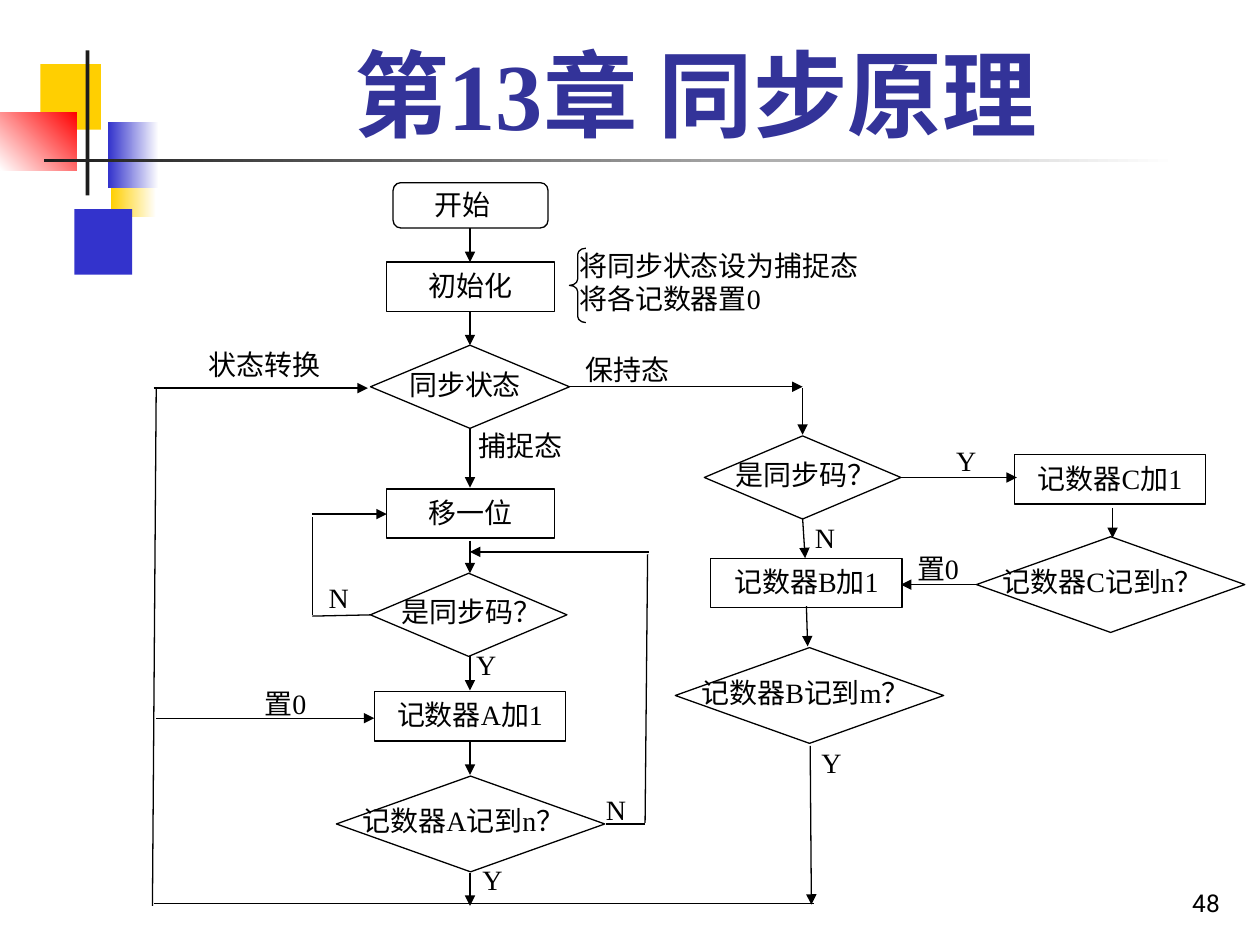
from lxml.etree import SubElement
from pptx import Presentation
from pptx.dml.color import RGBColor
from pptx.enum.shapes import MSO_CONNECTOR, MSO_SHAPE
from pptx.enum.text import MSO_ANCHOR as Anchor, MSO_AUTO_SIZE, PP_ALIGN as Align
from pptx.oxml.ns import qn
from pptx.util import Inches, Pt

COLORS = {
    "black": "000000", "white": "FFFFFF", "title": "333399", "blue": "3333CC",
    "yellow": "FFCF01", "red": "FF0000", "charcoal": "1C1C1C",
}
SERIF = "Times New Roman"

# left, top, width, height, gradient start, end, clockwise angle
DECORATIONS = [
    (0.88, 1.2, 0.36, 0.52, "white", "yellow", 180),
    (0.59, 1.66, 0.46, 0.52, "blue", None, 0),
    (0.32, 0.51, 0.48, 0.52, "yellow", None, 0),
    (0.86, 0.97, 0.4, 0.52, "white", "blue", 180),
    (0, 0.89, 0.61, 0.46, "red", "white", 135),
    (0.68, 0.4, 0.03, 1.15, "charcoal", None, 0),
    (0.35, 1.26, 9, 0.03, "white", "charcoal", 180),
]
# text, left, top, width
PROCESSES = [
    ("初始化", 3.07, 2.08, 1.33),
    ("移一位", 3.07, 3.88, 1.33),
    ("记数器A加1", 2.97, 5.49, 1.52),
    ("记数器B加1", 5.64, 4.43, 1.52),
    ("记数器C加1", 8.05, 3.61, 1.52),
]
# width, height, label offset x, label offset y, label width
STATE = (1.58, 0.66, 0.21, 0.13, 1.25)
CODE = (1.56, 0.66, 0.15, 0.12, 1.43)
COUNT = (2.13, 0.76, 0.11, 0.17, 2.14)
DECISIONS = [
    ("同步状态", 2.94, 2.74, STATE),
    ("是同步码？", 2.94, 4.55, CODE),
    ("是同步码？", 5.59, 3.46, CODE),
    ("记数器A记到n？", 2.67, 6.16, COUNT),
    ("记数器B记到m？", 5.36, 5.14, COUNT),
    ("记数器C记到n？", 7.75, 4.26, COUNT),
]
# start x, start y, end x, end y
MAIN_X = 3.73
ARROWS = [
    *[(MAIN_X, start, MAIN_X, end) for start, end in [
        (1.81, 2.08), (2.48, 2.74), (3.4, 3.87), (4.29, 4.55),
        (5.21, 5.48), (5.89, 6.15), (6.93, 7.19)]],
    (4.51, 3.07, 6.37, 3.07),
    (2.48, 4.08, 3.07, 4.08),
    (1.22, 3.08, 2.92, 3.08),
    (5.15, 4.38, 3.73, 4.38),
    (1.24, 5.7, 2.97, 5.7),
    (6.37, 3.08, 6.37, 3.45),
    (6.37, 4.11, 6.39, 4.43),
    (6.4, 4.81, 6.41, 5.13),
    (6.43, 5.92, 6.44, 7.18),
    (7.15, 3.79, 8.07, 3.79),
    (7.75, 4.64, 7.15, 4.64),
    (8.83, 4.03, 8.83, 4.27),
]
PLAIN_LINES = [
    (4.81, 6.54, 5.12, 6.54),
    (5.12, 6.53, 5.14, 4.4),
    (2.94, 4.88, 2.48, 4.89),
    (2.48, 4.88, 2.48, 4.1),
    (6.46, 7.17, 1.22, 7.17),
    (1.21, 7.19, 1.24, 3.08),
]
# text, left, top, width, height
LABELS = [
    ("开始", 3.35, 1.44, 0.85, 0.37),
    ("将同步状态设为捕捉态\n将各记数器置0", 4.5, 1.92, 2.45, 0.75),
    ("状态转换", 1.56, 2.71, 1.18, 0.42),
    ("保持态", 4.55, 2.75, 0.96, 0.42),
    ("捕捉态", 3.7, 3.35, 0.96, 0.42),
    ("置0", 2, 5.4, 0.77, 0.37),
    ("置0", 7.18, 4.33, 0.77, 0.37),
    *[("Y", left, top, 0.49, 0.36) for left, top in [
        (3.68, 5.09), (3.73, 6.8), (6.42, 5.87), (7.49, 3.47)]],
    *[("N", left, top, 0.54, 0.34) for left, top in [
        (2.51, 4.56), (4.71, 6.24), (6.37, 4.08)]],
]


def color(name):
    return RGBColor.from_string(COLORS[name])


def write(shape, text, align, anchor=Anchor.TOP, size=16, font=SERIF,
          ink="black", bold=False):
    frame = shape.text_frame
    frame.word_wrap = True
    frame.auto_size = MSO_AUTO_SIZE.NONE
    frame.vertical_anchor = anchor
    for index, line in enumerate(text.split("\n")):
        paragraph = frame.add_paragraph() if index else frame.paragraphs[0]
        paragraph.alignment = align
        run = paragraph.add_run()
        run.text = line
        run.font.size = Pt(size)
        run.font.name = font
        run.font.bold = bold
        run.font.color.rgb = color(ink)


def add_label(slide, text, left, top, width, height, align=Align.JUSTIFY, **style):
    box = slide.shapes.add_textbox(*map(Inches, (left, top, width, height)))
    write(box, text, align, **style)


def add_decoration(slide, left, top, width, height, start, end, angle):
    shape = slide.shapes.add_shape(
        MSO_SHAPE.RECTANGLE, *map(Inches, (left, top, width, height)))
    shape.shadow.inherit = False
    shape.line.fill.background()
    if end is None:
        shape.fill.solid()
        shape.fill.fore_color.rgb = color(start)
        return
    shape.fill.gradient()
    shape.fill.gradient_angle = 360 - angle
    for stop, name in zip(shape.fill.gradient_stops, (start, end)):
        stop.color.rgb = color(name)


def add_outlined(slide, kind, left, top, width, height):
    shape = slide.shapes.add_shape(kind, *map(Inches, (left, top, width, height)))
    shape.shadow.inherit = False
    shape.fill.solid()
    shape.fill.fore_color.rgb = color("white")
    shape.line.color.rgb = color("black")
    shape.line.width = Pt(0.75)
    return shape


def add_decision(slide, text, left, top, form):
    width, height, offset_x, offset_y, label_width = form
    add_outlined(slide, MSO_SHAPE.FLOWCHART_DECISION, left, top, width, height)
    add_label(slide, text, left + offset_x, top + offset_y, label_width, 0.37)


def add_line(slide, points, arrow):
    line = slide.shapes.add_connector(MSO_CONNECTOR.STRAIGHT, *map(Inches, points))
    line.line.color.rgb = color("black")
    line.line.width = Pt(0.75)
    if arrow:
        SubElement(line.line._get_or_add_ln(), qn("a:tailEnd"), type="triangle")
    SubElement(line._element.spPr, qn("a:effectLst"))


def add_title(slide, text):
    title = slide.shapes.title
    title.left, title.top, title.width, title.height = map(
        Inches, (1.26, 0.23, 8.52, 1.01))
    write(title, text, Align.CENTER, Anchor.BOTTOM, 54, ink="title", bold=True)


def add_brace(slide):
    brace = add_outlined(slide, MSO_SHAPE.LEFT_BRACE, 4.52, 1.97, 0.13, 0.59)
    brace.fill.background()
    brace.adjustments[0] = 0.38
    brace.adjustments[1] = 0.5


def main():
    presentation = Presentation()
    presentation.slide_width, presentation.slide_height = Inches(10), Inches(7.5)
    slide = presentation.slides.add_slide(presentation.slide_layouts[5])
    for decoration in DECORATIONS:
        add_decoration(slide, *decoration)
    add_title(slide, "第13章 同步原理")
    start = add_outlined(slide, MSO_SHAPE.ROUNDED_RECTANGLE, 3.12, 1.45, 1.23, 0.36)
    start.adjustments[0] = 0.17
    for text, left, top, width in PROCESSES:
        process = add_outlined(slide, MSO_SHAPE.RECTANGLE, left, top, width, 0.39)
        write(process, text, Align.CENTER)
    for decision in DECISIONS:
        add_decision(slide, *decision)
    for points in ARROWS:
        add_line(slide, points, arrow=True)
    for points in PLAIN_LINES:
        add_line(slide, points, arrow=False)
    add_brace(slide)
    for label in LABELS:
        add_label(slide, *label)
    add_label(slide, "48", 7.7, 6.83, 2.08, 0.5, Align.RIGHT,
              anchor=Anchor.BOTTOM, size=14, font="Roboto")
    presentation.save("out.pptx")


if __name__ == "__main__":
    main()
